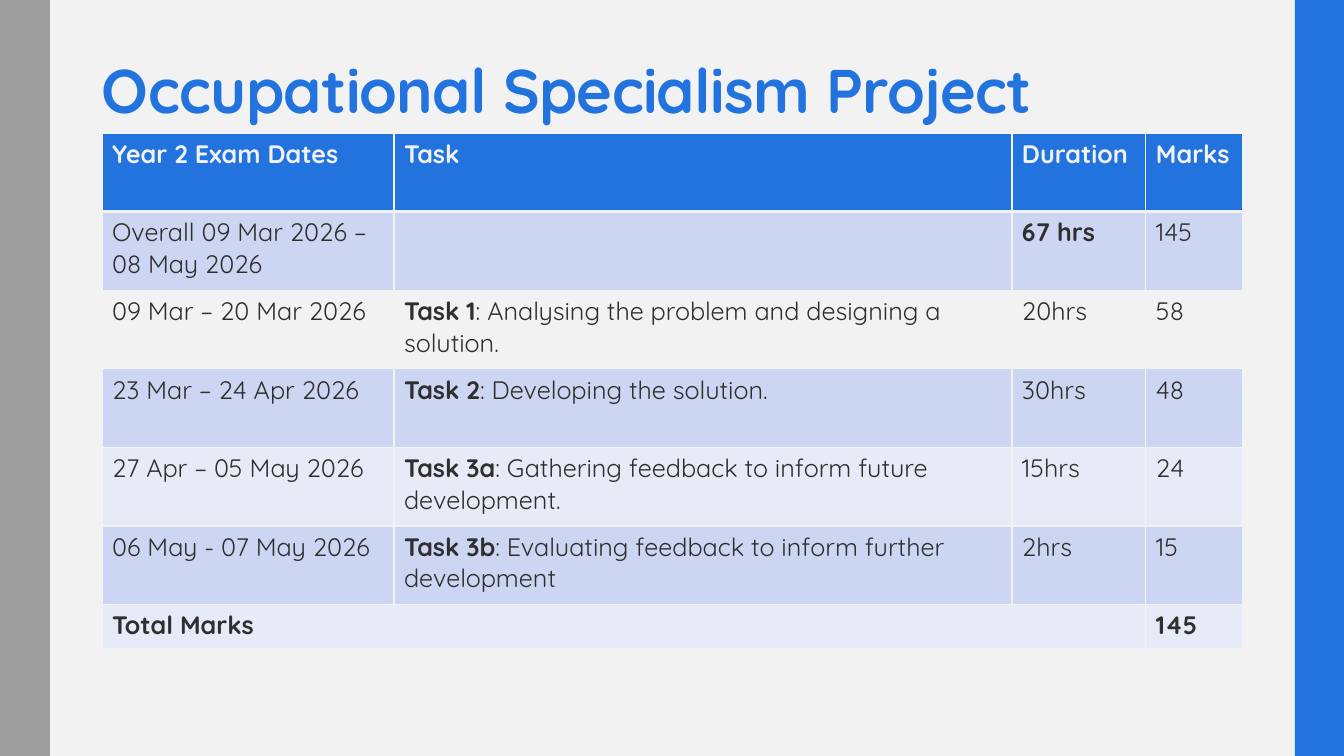
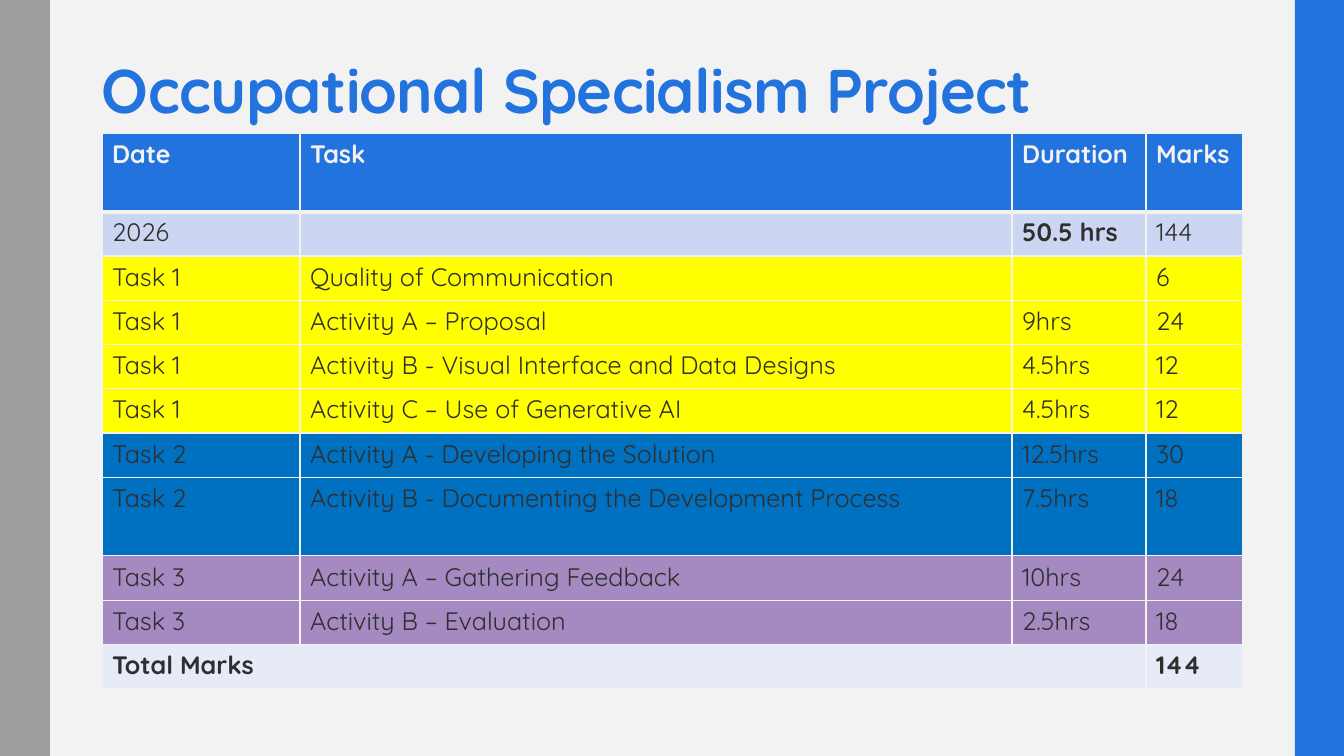
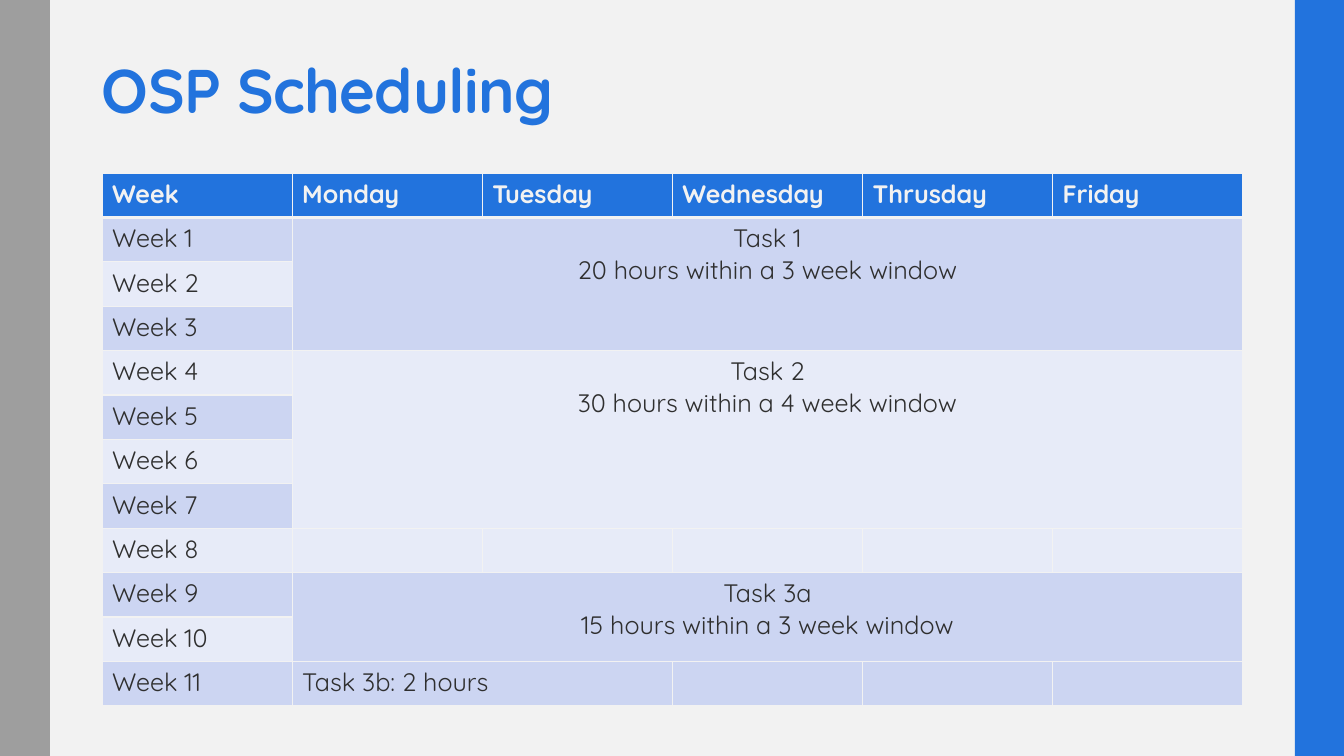
from lxml import etree
from pptx import Presentation
from pptx import util as u
from pptx.dml.color import RGBColor
from pptx.enum import shapes, text
from pptx.oxml.ns import qn

PX = 914400 / 100.8
PAGE_WIDTH, PAGE_HEIGHT = 1344, 756
LEFT, WIDTH = 102, 1141
TITLE_TOP, TITLE_HEIGHT = 52, 81
SHORT, TALL = 9, 16  # relative row heights
THIN, THICK = 0.96, 3
FONT = "Quicksand"

BLUE = RGBColor(0x22, 0x73, 0xDD)
GREY = RGBColor(0x9E, 0x9E, 0x9E)
PAPER = RGBColor(0xF2, 0xF2, 0xF2)
INK = RGBColor(0x2F, 0x2F, 0x2F)
ODD_ROW = RGBColor(0xCC, 0xD5, 0xF2)
EVEN_ROW = RGBColor(0xE7, 0xEB, 0xF8)
YELLOW = RGBColor(0xFF, 0xFF, 0x00)
DEEP_BLUE = RGBColor(0x00, 0x70, 0xC0)
PURPLE = RGBColor(0xA4, 0x8A, 0xC0)

BANDS = [(0, 50, GREY), (1295, 49, BLUE)]  # left, width, colour

# Text between asterisks is bold; spans map (row, column) to (rows, columns);
# fills override the alternating row colours, None meaning no fill.
PAGES = [
    {
        "title": "Occupational Specialism Project",
        "top": 133, "height": 516,
        "columns": [292, 618, 134, 97],
        "row_sizes": [TALL] * 6 + [SHORT],
        "rows": [
            ["Year 2 Exam Dates", "Task", "Duration", "Marks"],
            ["Overall 09 Mar 2026 – 08 May 2026", "", "*67 hrs*", "145"],
            ["09 Mar – 20 Mar 2026",
             "*Task 1*: Analysing the problem and designing a solution.", "20hrs", "58"],
            ["23 Mar – 24 Apr 2026", "*Task 2*: Developing the solution.", "30hrs", "48"],
            ["27 Apr – 05 May 2026",
             "*Task 3a*: Gathering feedback to inform future development.", "15hrs", "24"],
            ["06 May - 07 May 2026",
             "*Task 3b*: Evaluating feedback to inform further development", "2hrs", "15"],
            ["*Total Marks*", "", "", "*145*"],
        ],
        "spans": {(6, 0): (1, 3)},
        "fills": {2: None},
    },
    {
        "title": "Occupational Specialism Project",
        "top": 133, "height": 556,
        "columns": [198, 712, 134, 97],
        "row_sizes": [TALL] + [SHORT] * 6 + [TALL] + [SHORT] * 3,
        "rows": [
            ["Date", "Task", "Duration", "Marks"],
            ["2026", "", "*50.5 hrs*", "144"],
            ["Task 1", "Quality of Communication", "", "6"],
            ["Task 1", "Activity A – Proposal", "9hrs", "24"],
            ["Task 1", "Activity B - Visual Interface and Data Designs", "4.5hrs", "12"],
            ["Task 1", "Activity C – Use of Generative AI", "4.5hrs", "12"],
            ["Task 2", "Activity A - Developing the Solution", "12.5hrs", "30"],
            ["Task 2", "Activity B - Documenting the Development Process", "7.5hrs", "18"],
            ["Task 3", "Activity A – Gathering Feedback", "10hrs", "24"],
            ["Task 3", "Activity B – Evaluation", "2.5hrs", "18"],
            ["*Total Marks*", "", "", "*144*"],
        ],
        "spans": {(10, 0): (1, 3)},
        "fills": {**dict.fromkeys(range(2, 6), YELLOW),
                  **dict.fromkeys(range(6, 8), DEEP_BLUE),
                  **dict.fromkeys(range(8, 10), PURPLE)},
    },
    {
        "title": "OSP Scheduling",
        "top": 173, "height": 533,
        "columns": [WIDTH / 6] * 6,
        "row_sizes": [SHORT] * 12,
        "rows": [
            ["Week", "Monday", "Tuesday", "Wednesday", "Thrusday", "Friday"],
            ["Week 1", "Task 1\n20 hours within a 3 week window"],
            ["Week 2"],
            ["Week 3"],
            ["Week 4", "Task 2\n30 hours within a 4 week window"],
            ["Week 5"],
            ["Week 6"],
            ["Week 7"],
            ["Week 8"],
            ["Week 9", "Task 3a\n15 hours within a 3 week window"],
            ["Week 10"],
            ["Week 11", "Task 3b: 2 hours"],
        ],
        "spans": {(1, 1): (3, 5), (4, 1): (4, 5), (9, 1): (2, 5), (11, 1): (1, 2)},
        "fills": {},
    },
]


def px(length):
    return u.Emu(round(length * PX))


def write(frame, words, size=18, color=INK, bold=False, align=text.PP_ALIGN.LEFT,
          line_spacing=None, tracking=None):
    """Fill a frame, one paragraph a line; tracking is in hundredths of a point."""
    for number, line in enumerate(words.split("\n")):
        para = frame.add_paragraph() if number else frame.paragraphs[0]
        para.alignment = align
        para.line_spacing = line_spacing
        for part, piece in enumerate(line.split("*")):
            if not piece:
                continue
            span = para.add_run()
            span.text = piece
            span.font.name = FONT
            span.font.size = u.Pt(size)
            span.font.bold = bold or part % 2 == 1
            span.font.color.rgb = color
            if tracking:
                span._r.get_or_add_rPr().set("spc", str(tracking))


def add_borders(cell, top, bottom):
    properties = cell._tc.get_or_add_tcPr()
    for side, width in (("L", THIN), ("R", THIN), ("T", top), ("B", bottom)):
        line = etree.SubElement(properties, qn(f"a:ln{side}"), w=str(u.Pt(width)))
        fill = etree.SubElement(line, qn("a:solidFill"))
        etree.SubElement(fill, qn("a:srgbClr"), val=str(PAPER))


def paint(cell, color):
    if color is None:
        cell.fill.background()
    else:
        cell.fill.solid()
        cell.fill.fore_color.rgb = color


def add_title(page, words):
    frame = page.shapes.title.text_frame
    frame.word_wrap = True
    frame.auto_size = text.MSO_AUTO_SIZE.NONE
    frame.vertical_anchor = text.MSO_ANCHOR.TOP
    frame.margin_left = frame.margin_right = 0
    frame.margin_top = frame.margin_bottom = px(5)
    write(frame, words, size=44, color=BLUE, bold=True, line_spacing=0.95, tracking=-50)


def add_grid(page, content):
    rows, columns, sizes = content["rows"], content["columns"], content["row_sizes"]
    grid = page.shapes.add_table(len(rows), len(columns), px(LEFT), px(content["top"]),
                                 px(WIDTH), px(content["height"])).table
    grid.horz_banding = False
    for column, width in zip(grid.columns, columns):
        column.width = px(width)
    for row, size in zip(grid.rows, sizes):
        row.height = px(content["height"] * size / sum(sizes))

    for r, words in enumerate(rows):
        header = r == 0
        color = BLUE if header else content["fills"].get(r, ODD_ROW if r % 2 else EVEN_ROW)
        for c in range(len(columns)):
            cell = grid.cell(r, c)
            add_borders(cell, THICK if r == 1 else THIN, THICK if header else THIN)
            paint(cell, color)
            value = words[c] if c < len(words) else ""
            write(cell.text_frame, value, color=PAPER if header else INK, bold=header,
                  align=text.PP_ALIGN.CENTER if "\n" in value else text.PP_ALIGN.LEFT)
    for (r, c), (height, width) in content["spans"].items():
        grid.cell(r, c).merge(grid.cell(r + height - 1, c + width - 1))


def style_master(deck, layout, page):
    """Set background, side bands and title place for every slide."""
    master = deck.slide_master
    master.background.fill.solid()
    master.background.fill.fore_color.rgb = PAPER
    for number, (left, width, color) in enumerate(BANDS):
        band = page.shapes.add_shape(shapes.MSO_SHAPE.RECTANGLE, px(left), 0,
                                     px(width), px(PAGE_HEIGHT))
        band.shadow.inherit = False
        band.fill.solid()
        band.fill.fore_color.rgb = color
        band.line.fill.background()
        band.element.nvSpPr.cNvPr.set("id", str(100 + number))
        master.shapes.element.insert(2, band.element)
    title = layout.placeholders[0]
    title.left, title.top = px(LEFT), px(TITLE_TOP)
    title.width, title.height = px(WIDTH), px(TITLE_HEIGHT)


def main():
    deck = Presentation()
    deck.slide_width, deck.slide_height = px(PAGE_WIDTH), px(PAGE_HEIGHT)
    layout = deck.slide_layouts.get_by_name("Title Only")
    for number, content in enumerate(PAGES):
        page = deck.slides.add_slide(layout)
        if number == 0:
            style_master(deck, layout, page)
        add_title(page, content["title"])
        add_grid(page, content)
    deck.save("out.pptx")


if __name__ == "__main__":
    main()
